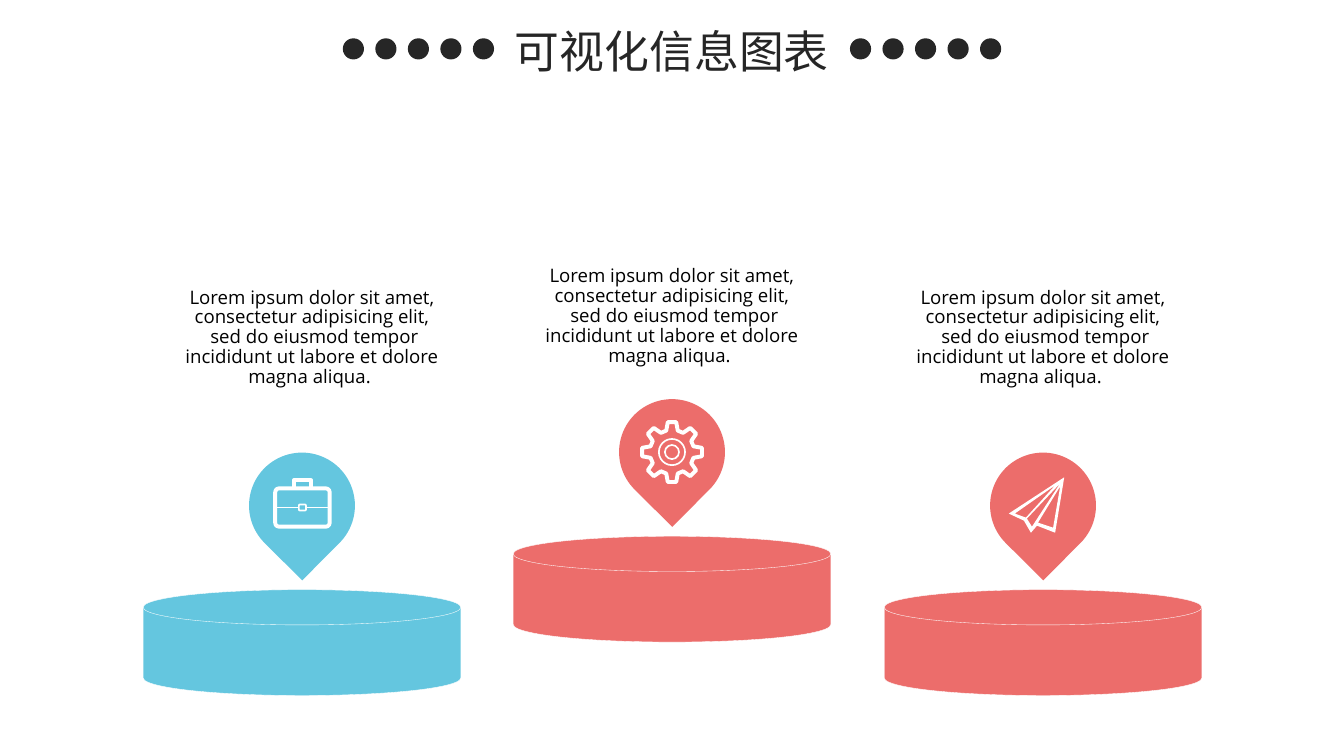
import math
from dataclasses import dataclass

import pptx
import pptx.dml.color
import pptx.enum.shapes
import pptx.enum.text
import pptx.oxml
import pptx.oxml.ns
import pptx.util
from pptx.util import Inches

KIND = pptx.enum.shapes.MSO_SHAPE
ALIGN = pptx.enum.text.PP_ALIGN
ANCHOR = pptx.enum.text.MSO_ANCHOR
FIT = pptx.enum.text.MSO_AUTO_SIZE


@dataclass(frozen=True)
class Theme:
    dark: str = "262626"
    black: str = "000000"
    white: str = "FFFFFF"
    blue: str = "64C6DF"
    red: str = "EC6D6B"
    title: float = 32
    body: float = 13.3
    head_font: str = "Noto Sans CJK SC"
    body_font: str = "Open Sans"
    hair: float = 0.25
    thin: float = 1.2
    bold: float = 2.8


THEME = Theme()
PLATE_W, PLATE_H, PIN = 3.15, 1.05, 1.05
BLURB = (
    "Lorem ipsum dolor sit amet, consectetur adipisicing elit,",
    " sed do eiusmod tempor incididunt ut labore et dolore magna aliqua. ",
)


def rgb(code):
    return pptx.dml.color.RGBColor.from_string(code)


def paint(shape, fill=None, line=None, width=0):
    shape.shadow.inherit = False
    if fill:
        shape.fill.solid()
        shape.fill.fore_color.rgb = rgb(fill)
    else:
        shape.fill.background()
    if line:
        shape.line.color.rgb = rgb(line)
        shape.line.width = pptx.util.Pt(width)
        shape.line._get_or_add_ln().append(
            pptx.oxml.parse_xml(f'<a:round {pptx.oxml.ns.nsdecls("a")}/>'))
    else:
        shape.line.fill.background()
    return shape


def add_form(slide, kind, x, y, w, h, **style):
    shape = slide.shapes.add_shape(kind, Inches(x), Inches(y), Inches(w), Inches(h))
    return paint(shape, **style)


def add_path(slide, cx, cy, loops, close=True, **style):
    """Draw one outline from loops of points around a centre."""
    build = None
    for loop in loops:
        spots = [(Inches(cx + x), Inches(cy + y)) for x, y in loop]
        if build is None:
            build = slide.shapes.build_freeform(*spots[0])
        else:
            build.move_to(*spots[0])
        build.add_line_segments(spots[1:], close=close)
    return paint(build.convert_to_shape(), **style)


def add_run(para, text, size, font, color):
    run = para.add_run()
    run.text = text
    run.font.size = pptx.util.Pt(size)
    run.font.name = font
    run.font.color.rgb = rgb(color)
    return run


def add_title(slide, text):
    title = slide.shapes.title
    title.left, title.top = Inches(3.79), Inches(0.13)
    title.width, title.height = Inches(5.75), Inches(0.75)
    frame = title.text_frame
    frame.auto_size = FIT.NONE
    frame.vertical_anchor = ANCHOR.MIDDLE
    para = frame.paragraphs[0]
    para.alignment = ALIGN.CENTER
    run = add_run(para, text, THEME.title, THEME.head_font, THEME.dark)
    east = pptx.oxml.parse_xml(
        f'<a:ea {pptx.oxml.ns.nsdecls("a")} typeface="{THEME.head_font}"/>')
    run.font._element.find(pptx.oxml.ns.qn("a:latin")).addnext(east)


def add_dots(slide, left):
    for i in range(5):
        add_form(slide, KIND.OVAL, left + i * 1.29 / 4, 0.38, 0.21, 0.21,
                 fill=THEME.dark)


def add_blurb(slide, x, y):
    box = slide.shapes.add_textbox(Inches(x), Inches(y), Inches(PLATE_W), Inches(1))
    frame = box.text_frame
    frame.word_wrap = True
    frame.auto_size = FIT.SHAPE_TO_FIT_TEXT
    for i, text in enumerate(BLURB):
        para = frame.add_paragraph() if i else frame.paragraphs[0]
        para.alignment = ALIGN.CENTER
        para.line_spacing = 0.89
        add_run(para, text, THEME.body, THEME.body_font, THEME.black)


def add_link(slide, start, start_side, end, end_side):
    link = slide.shapes.add_connector(pptx.enum.shapes.MSO_CONNECTOR.STRAIGHT, 0, 0, 0, 0)
    link.begin_connect(start, start_side)
    link.end_connect(end, end_side)
    link.line.color.rgb = rgb(THEME.white)
    link.line.width = pptx.util.Pt(THEME.thin)
    link._element.spPr.append(
        pptx.oxml.parse_xml(f'<a:effectLst {pptx.oxml.ns.nsdecls("a")}/>'))


def draw_case(slide, cx, cy):
    stroke = dict(line=THEME.white, width=THEME.bold)
    body = add_form(slide, KIND.ROUNDED_RECTANGLE, cx - 0.265, cy - 0.17,
                    0.54, 0.38, **stroke)
    body.adjustments[0] = 0.1
    grip = [(-0.08, -0.17), (-0.08, -0.25), (0.09, -0.25), (0.09, -0.17)]
    add_path(slide, cx, cy, [grip], close=False, **stroke)
    clasp = add_form(slide, KIND.ROUNDED_RECTANGLE, cx - 0.03, cy - 0.01,
                     0.07, 0.06, line=THEME.white, width=THEME.thin)
    add_link(slide, body, 1, clasp, 1)
    add_link(slide, clasp, 3, body, 3)


def draw_gear(slide, cx, cy):
    # Eight teeth: angle from the tooth's middle, and radius
    tooth = [(-15, 0.22), (-8, 0.3), (8, 0.3), (15, 0.22)]
    rim = []
    for turn in range(0, 360, 45):
        for lean, r in tooth:
            angle = math.radians(turn + lean)
            rim.append((r * math.cos(angle), r * math.sin(angle)))
    add_path(slide, cx, cy, [rim], line=THEME.white, width=THEME.bold)
    for r in (0.13, 0.07):
        add_form(slide, KIND.OVAL, cx - r, cy - r, 2 * r, 2 * r,
                 line=THEME.white, width=THEME.thin)


def draw_plane(slide, cx, cy):
    edge = [(0.21, -0.28), (-0.34, 0.08), (-0.19, 0.15), (-0.12, 0.27),
            (-0.06, 0.2), (0.12, 0.27)]
    folds = [
        [(-0.28, 0.08), (0.12, -0.2), (-0.17, 0.12)],
        [(-0.16, 0.13), (0.17, -0.22), (-0.11, 0.21)],
        [(0.1, 0.22), (-0.05, 0.17), (0.17, -0.19)],
    ]
    add_path(slide, cx, cy, [edge] + folds, fill=THEME.white)


def add_stand(slide, x, y, color, text_x, text_y, draw):
    """Draw a plate with its pin, icon and text."""
    add_form(slide, KIND.FLOWCHART_MAGNETIC_DISK, x, y, PLATE_W, PLATE_H,
             fill=color, line=THEME.white, width=THEME.hair)
    pin_x, pin_y = x + (PLATE_W - PIN) / 2, y - 1.36
    pin = add_form(slide, KIND.TEAR, pin_x, pin_y, PIN, PIN, fill=color)
    pin.rotation = 134.8
    add_blurb(slide, text_x, text_y)
    draw(slide, pin_x + PIN / 2, pin_y + PIN / 2)


def main():
    deck = pptx.Presentation()
    deck.slide_width, deck.slide_height = Inches(13.33), Inches(7.5)
    slide = deck.slides.add_slide(deck.slide_layouts[5])

    # Heading between two rows of dots
    add_title(slide, "可视化信息图表")
    for left in (3.4, 8.43):
        add_dots(slide, left)

    # Three stands, the middle one raised
    add_stand(slide, 1.42, 5.85, THEME.blue, 1.52, 2.81, draw_case)
    add_stand(slide, 5.09, 5.32, THEME.red, 5.09, 2.6, draw_gear)
    add_stand(slide, 8.77, 5.85, THEME.red, 8.77, 2.81, draw_plane)

    deck.save("out.pptx")


if __name__ == "__main__":
    main()
